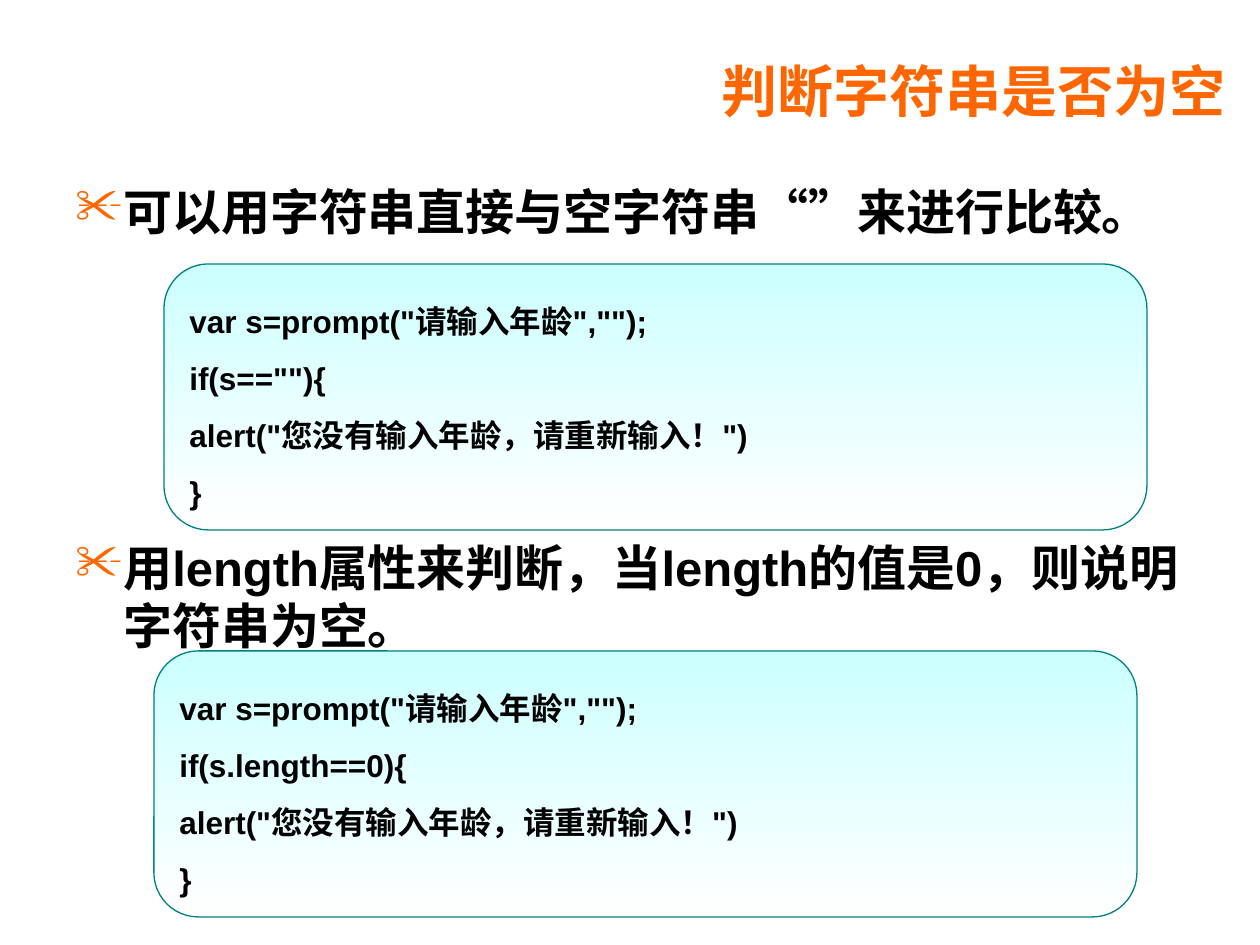
from lxml.etree import SubElement
from pptx import Presentation
from pptx.dml.color import RGBColor
from pptx.enum.shapes import MSO_SHAPE
from pptx.enum.text import MSO_ANCHOR, MSO_AUTO_SIZE, PP_ALIGN
from pptx.oxml.ns import qn
from pptx.util import Emu, Pt

PIXEL = 914400 / 126
ORANGE = RGBColor(0xFF, 0x66, 0x00)
BLACK = RGBColor(0x00, 0x00, 0x00)
AQUA = RGBColor(0xCC, 0xFF, 0xFF)
WHITE = RGBColor(0xFF, 0xFF, 0xFF)
TEAL = RGBColor(0x00, 0x80, 0x80)
LATIN = "Arial"
CHINESE = "Noto Sans CJK SC"

POINTS = [
    ("可以用字符串直接与空字符串“”来进行比较。", (63, 175, 1134, 72)),
    ("用length属性来判断，当length的值是0，则说明字符串为空。", (63, 531, 1134, 130)),
]
CODE_BOXES = [
    ('s==""', (164, 264, 983, 266)),
    ("s.length==0", (154, 651, 983, 266)),
]


def px(value):
    return Emu(round(value * PIXEL))


def style_runs(para, size, color, latin=LATIN):
    for span in para.runs:
        span.font.size = Pt(size)
        span.font.bold = True
        span.font.name = latin
        span.font.color.rgb = color
        SubElement(span.font._element, qn("a:ea"), typeface=CHINESE)


def add_bullet(para, indent):
    properties = para._p.get_or_add_pPr()
    properties.set("marL", str(indent))
    properties.set("indent", str(-indent))
    color = SubElement(properties, qn("a:buClr"))
    SubElement(color, qn("a:srgbClr"), val=str(ORANGE))
    SubElement(properties, qn("a:buChar"), char="✂")


def place_title(page, box, text):
    title = page.shapes.title
    title.left, title.top, title.width, title.height = map(px, box)
    frame = title.text_frame
    frame.text = text
    frame.vertical_anchor = MSO_ANCHOR.MIDDLE
    frame.auto_size = MSO_AUTO_SIZE.NONE
    para = frame.paragraphs[0]
    para.alignment = PP_ALIGN.RIGHT
    style_runs(para, 32, ORANGE, CHINESE)


def place_point(page, box, text):
    frame = page.shapes.add_textbox(*map(px, box)).text_frame
    frame.word_wrap = True
    frame.text = text
    para = frame.paragraphs[0]
    add_bullet(para, px(48))
    style_runs(para, 28, BLACK)


def place_code(page, box, condition):
    panel = page.shapes.add_shape(MSO_SHAPE.ROUNDED_RECTANGLE, *map(px, box))
    panel.shadow.inherit = False
    panel.fill.gradient()
    panel.fill.gradient_angle = 270
    for stop, color in zip(panel.fill.gradient_stops, (AQUA, WHITE)):
        stop.color.rgb = color
    panel.line.color.rgb = TEAL
    panel.line.width = Pt(0.75)
    frame = panel.text_frame
    frame.word_wrap = True
    frame.vertical_anchor = MSO_ANCHOR.MIDDLE
    frame.text = "\n".join([
        'var s=prompt("请输入年龄","");',
        f"if({condition}){{",
        'alert("您没有输入年龄，请重新输入！")',
        "}",
    ])
    for para in frame.paragraphs:
        para.alignment = PP_ALIGN.LEFT
        para.line_spacing = 1.5
        style_runs(para, 18, BLACK)


def main():
    deck = Presentation()
    deck.slide_width, deck.slide_height = px(1260), px(945)
    page = deck.slides.add_slide(deck.slide_layouts[5])
    place_title(page, (105, 45, 1134, 90), "判断字符串是否为空")
    for text, box in POINTS:
        place_point(page, box, text)
    for condition, box in CODE_BOXES:
        place_code(page, box, condition)
    deck.save("out.pptx")


if __name__ == "__main__":
    main()
